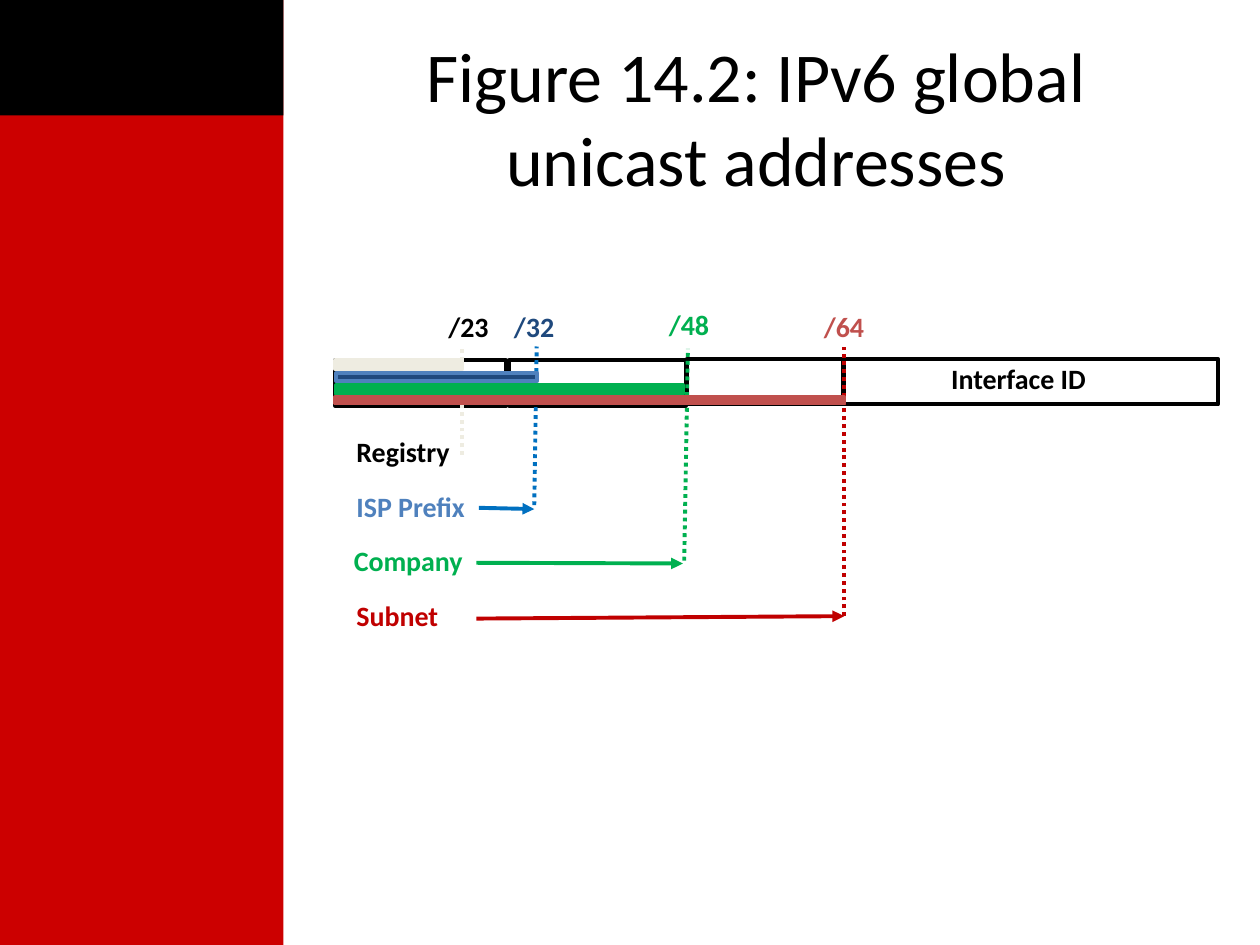
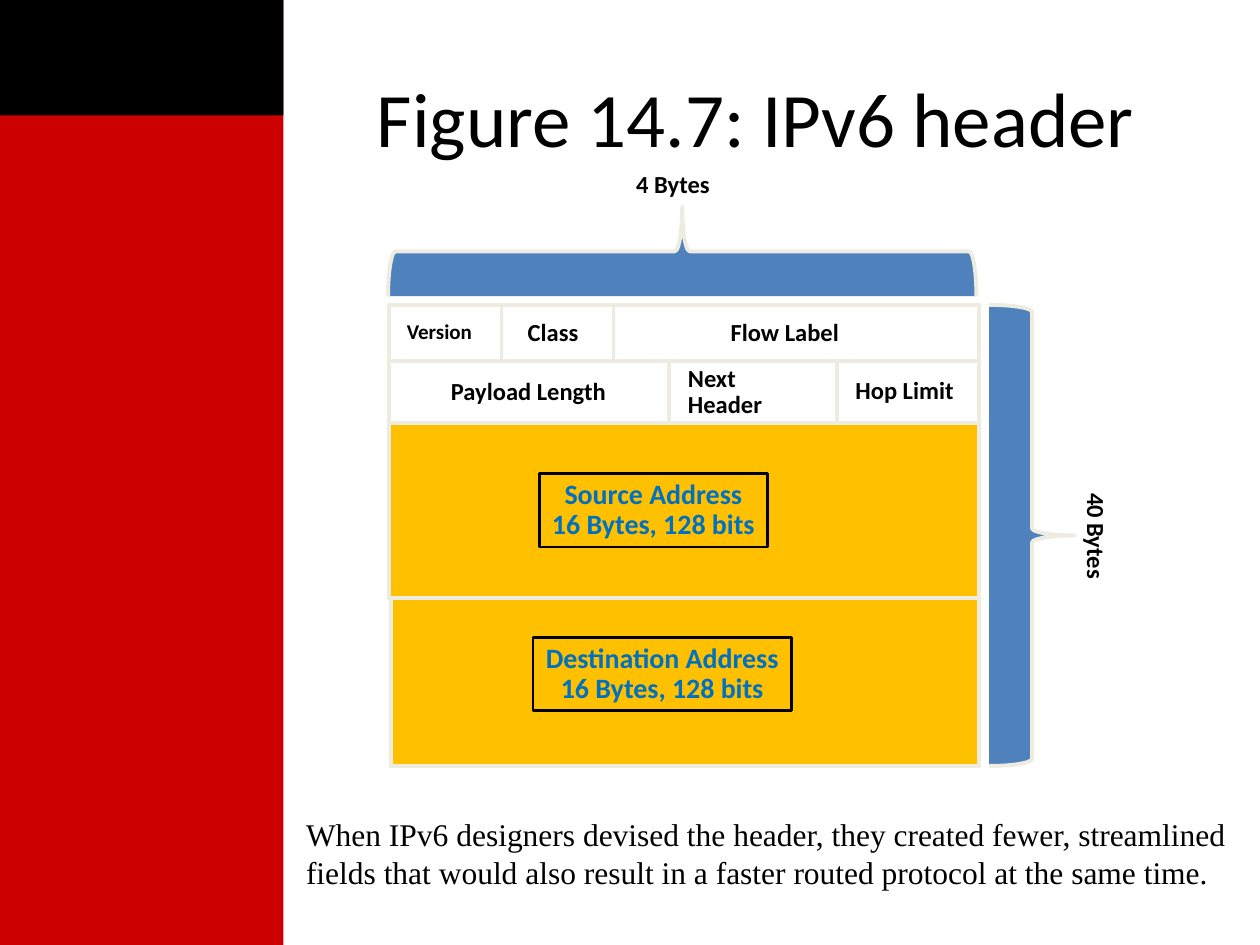
from lxml.etree import SubElement
from pptx import Presentation
from pptx.dml.color import RGBColor
from pptx.enum.dml import MSO_LINE
from pptx.enum.shapes import MSO_CONNECTOR, MSO_SHAPE
from pptx.enum.text import MSO_ANCHOR, PP_ALIGN
from pptx.oxml.ns import qn
from pptx.util import Pt

COLOURS = {
    "white": "FFFFFF",
    "black": "000000",
    "band red": "CC0000",
    "cream": "EEECE1",
    "navy": "1F497D",
    "steel": "4F81BD",
    "blue": "0070C0",
    "green": "00B050",
    "brick": "C0504D",
    "red": "C00000",
    "amber": "FFC000",
}
SANS = "Calibri"
SERIF = "Times New Roman"
RULE = 2.25


def colour(name):
    return RGBColor.from_string(COLOURS[name])


def write(shape, lines, size, ink="black", font=SANS, bold=True, align=PP_ALIGN.LEFT,
          anchor=MSO_ANCHOR.MIDDLE, spacing=0.9, wrap=False):
    frame = shape.text_frame
    frame.word_wrap = wrap
    frame.vertical_anchor = anchor
    frame.text = lines
    for paragraph in frame.paragraphs:
        paragraph.alignment = align
        paragraph.line_spacing = spacing
        paragraph.font.name = font
        paragraph.font.size = Pt(size)
        paragraph.font.bold = bold
        paragraph.font.color.rgb = colour(ink)


def add_text(slide, text, left, top, width, height, size, **style):
    box = slide.shapes.add_textbox(Pt(left), Pt(top), Pt(width), Pt(height))
    write(box, text, size, **style)
    return box


def add_block(slide, left, top, width, height, fill, edge=None, weight=RULE,
              preset=MSO_SHAPE.RECTANGLE):
    block = slide.shapes.add_shape(preset, Pt(left), Pt(top), Pt(width), Pt(height))
    block.shadow.inherit = False
    block.fill.solid()
    block.fill.fore_color.rgb = colour(fill)
    if edge:
        block.line.color.rgb = colour(edge)
        block.line.width = Pt(weight)
    else:
        block.line.fill.background()
    return block


def add_line(slide, start, end, ink, dotted=False, arrow=False):
    line = slide.shapes.add_connector(
        MSO_CONNECTOR.STRAIGHT, *(Pt(value) for value in (*start, *end)))
    line.line.color.rgb = colour(ink)
    line.line.width = Pt(RULE)
    if dotted:
        line.line.dash_style = MSO_LINE.ROUND_DOT
    if arrow:
        SubElement(line.line._get_or_add_ln(), qn("a:tailEnd"), type="triangle")
    SubElement(line._element.spPr, qn("a:effectLst"))


def add_brace(slide, left, top, width, height, rotation):
    brace = add_block(slide, left, top, width, height, "steel", "cream",
                      preset=MSO_SHAPE.LEFT_BRACE)
    brace.rotation = rotation


def add_figure_slide(deck, title, title_size):
    """Add a slide with the side bands and the figure's title."""
    slide = deck.slides.add_slide(deck.slide_layouts[6])
    add_block(slide, 0, 0, 162, 540, "band red")
    add_block(slide, 0, 0, 162, 66, "black")
    add_text(slide, title, 180, 21.6, 504, 90, title_size, bold=False,
             align=PP_ALIGN.CENTER, spacing=1.0, wrap=True)
    return slide


def draw_unicast_address(deck):
    slide = add_figure_slide(deck, "Figure 14.2: IPv6 global unicast addresses", 40)

    address_fields = [(239, 206, 50.4), (191.5, 206, 51.1), (291, 206, 100.8),
                      (392.4, 205.2, 89.3), (482.4, 205.2, 213.8)]
    for left, top, width in address_fields:
        add_block(slide, left, top, width, 25.9, "white", "black")
    add_text(slide, "Interface ID", 536.4, 205.2, 92.2, 24.5, 16)

    prefix_lengths = [("/23", 249.1, 175.7, "black"), ("/32", 286.6, 175.7, "navy"),
                      ("/48", 375.1, 174.2, "green"), ("/64", 463.7, 175.7, "brick")]
    for length, left, top, ink in prefix_lengths:
        add_text(slide, length, left, top, 37.4, 24.5, 16, ink=ink)

    owners = [("Registry", 196.6, 67.7, "black"), ("ISP Prefix", 196.6, 76.3, "steel"),
              ("Company", 195.1, 77, "green"), ("Subnet", 196.6, 61.2, "red")]
    for row, (owner, left, width, ink) in enumerate(owners):
        add_text(slide, owner, left, 247 + 31.2 * row, width, 24.5, 16, ink=ink)

    boundaries = [((264.2, 260), (264.2, 198), "cream"),
                  ((305.3, 288.7), (306.7, 198), "blue"),
                  ((391, 320.4), (393.1, 199.4), "green"),
                  ((482.4, 352.1), (482.4, 198), "red")]
    for foot, head, ink in boundaries:
        add_line(slide, foot, head, ink, dotted=True)

    owner_arrows = [((273.6, 290.2), (305.3, 290.9), "blue"),
                    ((272.2, 321.6), (390.2, 322), "green"),
                    ((272.2, 353.5), (482.4, 352.1), "red")]
    for start, end, ink in owner_arrows:
        add_line(slide, start, end, ink, arrow=True)

    stripes = [(191.5, 72.7, 5, "cream", "cream"), (192.2, 114.5, 5, "navy", "steel"),
               (192.2, 198, 5, "green", "green"), (191.5, 291, 3.6, "brick", "brick")]
    for row, (left, width, height, fill, edge) in enumerate(stripes):
        add_block(slide, left, 206 + 7 * row, width, height, fill, edge)


def draw_header(deck):
    slide = add_figure_slide(deck, "Figure 14.7: IPv6 header", 44)
    add_text(slide, "When IPv6 designers devised the header, they created fewer, "
             "streamlined fields that would also result in a faster routed protocol "
             "at the same time.", 167.8, 462.2, 552.2, 50.4, 18, font=SERIF, bold=False,
             anchor=MSO_ANCHOR.TOP, spacing=1.0, wrap=True)

    right = 559.4
    header_rows = [(341.3, 96.5, [223.2], "amber"),
                   (242, 100, [222.5], "amber"),
                   (206.6, 35.3, [222.5, 382.3, 478.1], "white"),
                   (174.2, 31.9, [222.5, 286.6, 350.6], "white")]
    for top, height, lefts, fill in header_rows:
        for left, end in zip(lefts, lefts[1:] + [right]):
            add_block(slide, left, top, end - left, height, fill, "cream")

    addresses = [("Destination", 304.6, 364.3, 147.6), ("Source", 308.2, 270.7, 130.3)]
    for role, left, top, width in addresses:
        plate = add_block(slide, left, top, width, 41.8, "amber", "black", 1.5)
        write(plate, f"{role} Address\n16 Bytes, 128 bits", 16, ink="blue",
              align=PP_ALIGN.CENTER)

    field_names = [("Payload Length", 250.6, 213.1, 103.7),
                   ("Next Header", 386, 213.1, 87.1),
                   ("Hop Limit", 481.7, 212.4, 70.6),
                   ("Flow Label", 410.4, 179.3, 76.3),
                   ("Class", 294.5, 179.3, 43.2)]
    for name, left, top, width in field_names:
        add_text(slide, name, left, top, width, 22.3, 14)
    add_text(slide, "Version", 225.4, 180, 77, 20.2, 12, wrap=True)

    add_brace(slide, 565.2, 174.2, 49, 263.5, 180)
    total_length = add_text(slide, "40 Bytes", 594, 295.2, 63.4, 22.3, 14)
    total_length.rotation = 90
    add_brace(slide, 364.3, -24.5, 51.1, 336.2, 90)
    add_text(slide, "4 Bytes", 356.4, 95, 97.2, 22.3, 14, wrap=True)


def main():
    deck = Presentation()
    deck.slide_width, deck.slide_height = Pt(720), Pt(540)
    draw_unicast_address(deck)
    draw_header(deck)
    deck.save("out.pptx")


if __name__ == "__main__":
    main()
